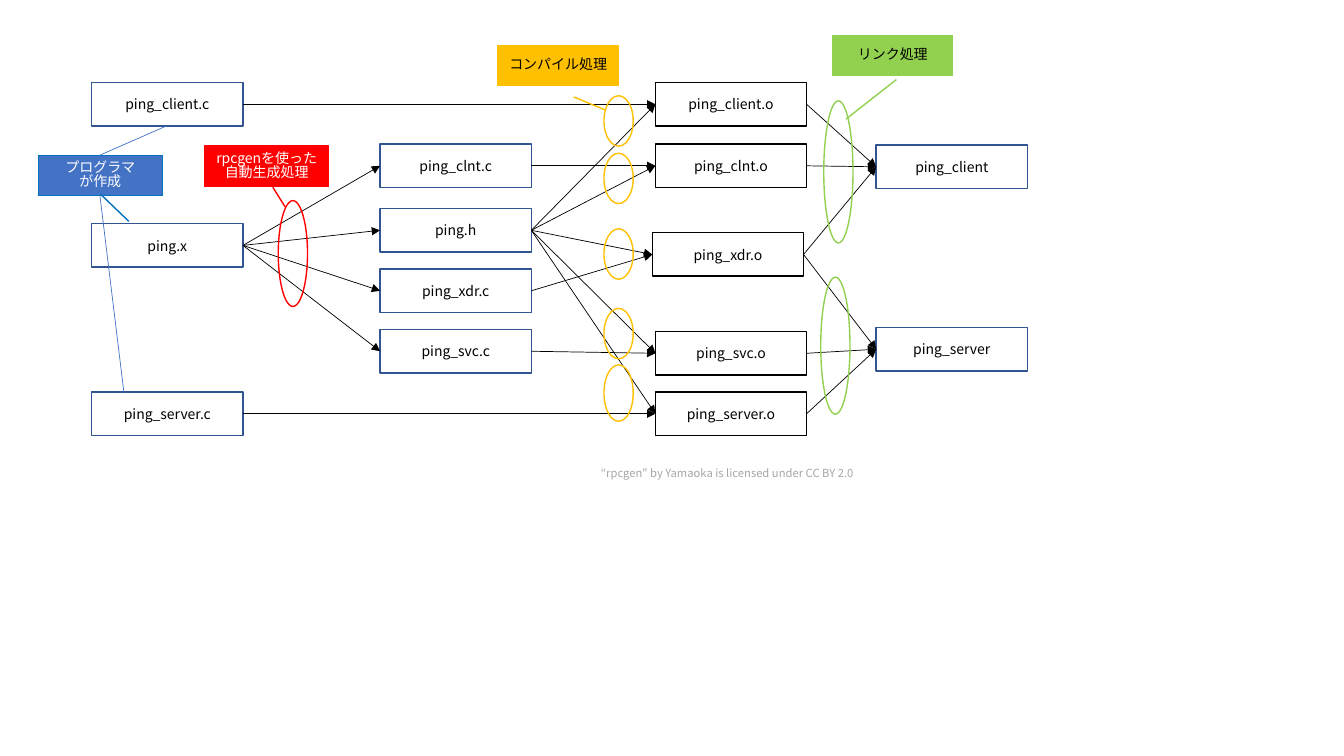
import dataclasses

import lxml.etree
import pptx
import pptx.dml.color
import pptx.enum.shapes
import pptx.enum.text
import pptx.oxml.ns
import pptx.util

SHAPES = pptx.enum.shapes.MSO_SHAPE
COLUMNS, ROWS = 13.33, 7.5


@dataclasses.dataclass(frozen=True)
class Theme:
    font: str = "Noto Sans CJK JP"
    white: str = "FFFFFF"
    black: str = "000000"
    navy: str = "325491"
    blue: str = "4472C4"
    bright_blue: str = "0070C0"
    red: str = "FF0000"
    amber: str = "FFC000"
    green: str = "92D050"
    grey: str = "A6A6A6"
    label_size: float = 10
    credit_size: float = 8
    border: float = 1
    arrow: float = 0.5
    callout_spacing: float = 0.85


class Diagram:
    """Draws elements on one slide, placed by grid columns and rows."""

    def __init__(self, presentation, theme):
        self.theme = theme
        self.slide = presentation.slides.add_slide(presentation.slide_layouts[6])
        self.column = presentation.slide_width / COLUMNS
        self.row = presentation.slide_height / ROWS

    def place(self, *lengths):
        units = (self.column, self.row, self.column, self.row)
        return [round(length * unit) for length, unit in zip(lengths, units)]

    def colour(self, value):
        return pptx.dml.color.RGBColor.from_string(value)

    def label(self, shape, text, colour, size, spacing=None):
        frame = shape.text_frame
        frame.text = text
        frame.vertical_anchor = pptx.enum.text.MSO_ANCHOR.MIDDLE
        for paragraph in frame.paragraphs:
            paragraph.alignment = pptx.enum.text.PP_ALIGN.CENTER
            paragraph.line_spacing = spacing
            for run in paragraph.runs:
                run.font.name = self.theme.font
                run.font.size = pptx.util.Pt(size)
                run.font.color.rgb = self.colour(colour)
                east_asian = lxml.etree.SubElement(
                    run.font._element, pptx.oxml.ns.qn("a:ea"))
                east_asian.set("typeface", self.theme.font)

    def outline(self, kind, bounds, line, fill=None):
        shape = self.slide.shapes.add_shape(kind, *self.place(*bounds))
        shape.shadow.inherit = False
        if fill:
            shape.fill.solid()
            shape.fill.fore_color.rgb = self.colour(fill)
        else:
            shape.fill.background()
        shape.line.color.rgb = self.colour(line)
        shape.line.width = pptx.util.Pt(self.theme.border)
        return shape

    def box(self, text, bounds, line):
        shape = self.outline(SHAPES.RECTANGLE, bounds, line, self.theme.white)
        self.label(shape, text, self.theme.black, self.theme.label_size)

    def ring(self, bounds, line):
        self.outline(SHAPES.OVAL, bounds, line)

    def callout(self, text, bounds, pointer, fill, line, colour):
        shape = self.outline(SHAPES.LINE_CALLOUT_1, bounds, line, fill)
        for index, value in enumerate(pointer):
            shape.adjustments[index] = value
        frame = shape.text_frame
        frame.word_wrap = True
        frame.margin_left = frame.margin_right = pptx.util.Inches(0.05)
        frame.margin_top = frame.margin_bottom = 0
        self.label(shape, text, colour, self.theme.label_size,
                   self.theme.callout_spacing)

    def line(self, start, end, colour, arrow=False):
        connector = self.slide.shapes.add_connector(
            pptx.enum.shapes.MSO_CONNECTOR.STRAIGHT, *self.place(*start, *end))
        connector.line.color.rgb = self.colour(colour)
        connector.line.width = pptx.util.Pt(self.theme.arrow)
        properties = connector._element.spPr
        if arrow:
            line = properties.find(pptx.oxml.ns.qn("a:ln"))
            lxml.etree.SubElement(
                line, pptx.oxml.ns.qn("a:tailEnd")).set("type", "triangle")
        lxml.etree.SubElement(properties, pptx.oxml.ns.qn("a:effectLst"))

    def caption(self, text, bounds):
        shape = self.slide.shapes.add_textbox(*self.place(*bounds))
        shape.text_frame.word_wrap = False
        self.label(shape, text, self.theme.grey, self.theme.credit_size)


BOX_WIDTH, BOX_HEIGHT = 1.5, 0.43

# Left and top of each file box
SOURCES = {
    "ping_client.c": (0.91, 0.82), "ping.x": (0.91, 2.22),
    "ping_server.c": (0.91, 3.89), "ping.h": (3.77, 2.07),
    "ping_clnt.c": (3.77, 1.43), "ping_xdr.c": (3.77, 2.67),
    "ping_svc.c": (3.77, 3.27),
}
OBJECTS = {
    "ping_clnt.o": (6.5, 1.43), "ping_client.o": (6.5, 0.82),
    "ping_server.o": (6.5, 3.89), "ping_xdr.o": (6.47, 2.31),
    "ping_svc.o": (6.5, 3.29),
}
PROGRAMS = {"ping_client": (8.69, 1.44), "ping_server": (8.69, 3.25)}
FILES = SOURCES | OBJECTS | PROGRAMS

# What each file is turned into
FLOWS = {
    "ping.x": ["ping_clnt.c", "ping.h", "ping_xdr.c", "ping_svc.c"],
    "ping.h": list(OBJECTS),
    "ping_client.c": ["ping_client.o"], "ping_clnt.c": ["ping_clnt.o"],
    "ping_xdr.c": ["ping_xdr.o"], "ping_svc.c": ["ping_svc.o"],
    "ping_server.c": ["ping_server.o"],
    "ping_client.o": ["ping_client"], "ping_clnt.o": ["ping_client"],
    "ping_xdr.o": ["ping_client", "ping_server"],
    "ping_svc.o": ["ping_server"], "ping_server.o": ["ping_server"],
}


def main():
    presentation = pptx.Presentation()
    presentation.slide_width = pptx.util.Inches(COLUMNS)
    presentation.slide_height = pptx.util.Inches(ROWS)
    theme = Theme()
    diagram = Diagram(presentation, theme)

    # File boxes
    for name, (left, top) in FILES.items():
        line = theme.black if name in OBJECTS else theme.navy
        diagram.box(name, (left, top, BOX_WIDTH, BOX_HEIGHT), line)

    # Arrows from the right edge of a file to the left edge of the next
    for source, targets in FLOWS.items():
        left, top = FILES[source]
        start = (left + BOX_WIDTH, top + BOX_HEIGHT / 2)
        for target in targets:
            left, top = FILES[target]
            diagram.line(start, (left, top + BOX_HEIGHT / 2), theme.black, True)

    # Rings around the arrows of each step
    diagram.ring((2.76, 1.99, 0.29, 1.05), theme.red)
    for top, height in ((0.95, 0.5), (1.52, 0.5), (2.27, 0.5),
                        (3.06, 0.5), (3.62, 0.56)):
        diagram.ring((5.99, top, 0.29, height), theme.amber)
    for left, top, height in ((8.17, 1, 1.41), (8.14, 2.75, 1.36)):
        diagram.ring((left, top, 0.29, height), theme.green)

    # Callouts naming the steps
    diagram.callout("プログラマ\nが作成", (0.38, 1.54, 1.23, 0.4),
                    (0.96, 0.5, 1.64, 0.73),
                    theme.blue, theme.bright_blue, theme.white)
    diagram.callout("コンパイル処理", (4.94, 0.45, 1.19, 0.4),
                    (1.28, 0.63, 1.6, 0.89),
                    theme.amber, theme.amber, theme.black)
    diagram.callout("リンク処理", (8.26, 0.35, 1.19, 0.4),
                    (1.1, 0.53, 2.08, 0.11),
                    theme.green, theme.green, theme.black)
    diagram.callout("rpcgenを使った自動生成処理", (2.03, 1.45, 1.23, 0.4),
                    (1.02, 0.55, 1.51, 0.65),
                    theme.red, theme.red, theme.white)

    # Further pointers from the programmer callout
    diagram.line((0.99, 1.93), (1.23, 3.9), theme.blue)
    diagram.line((0.99, 1.54), (1.65, 1.25), theme.blue)

    # Licence credit
    diagram.caption("“rpcgen\" by Yamaoka is licensed under CC BY 2.0",
                    (5.79, 4.57, 2.85, 0.24))

    presentation.save("out.pptx")


if __name__ == "__main__":
    main()
